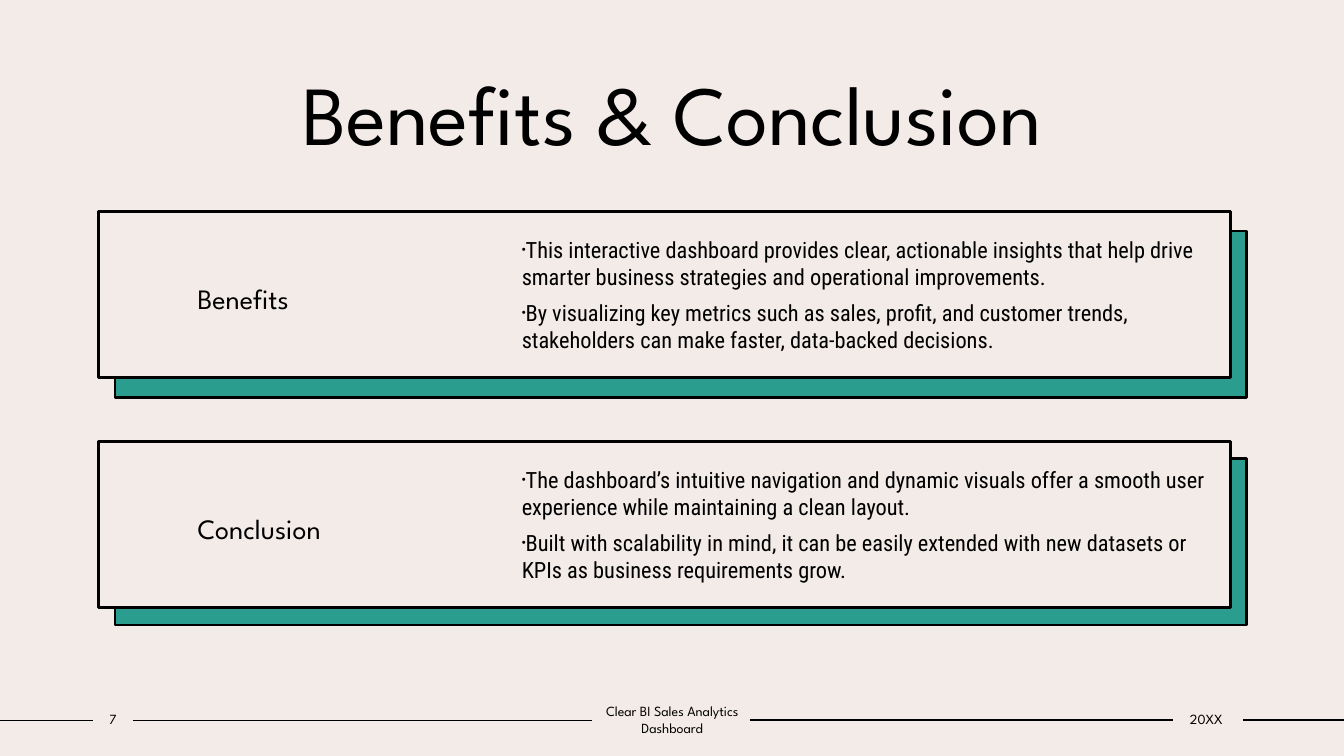
from lxml import etree
from pptx import Presentation
from pptx.dml.color import RGBColor
from pptx.enum.shapes import MSO_CONNECTOR, MSO_SHAPE
from pptx.enum.text import MSO_ANCHOR, PP_ALIGN
from pptx.oxml.ns import qn
from pptx.util import Cm, Pt

RECTANGLE = MSO_SHAPE.RECTANGLE
STRAIGHT = MSO_CONNECTOR.STRAIGHT
MIDDLE = MSO_ANCHOR.MIDDLE
LEFT, CENTER = PP_ALIGN.LEFT, PP_ALIGN.CENTER

BLACK = RGBColor(0x00, 0x00, 0x00)
CREAM = RGBColor(0xF3, 0xEB, 0xE8)
TEAL = RGBColor(0x2A, 0x9D, 0x8F)

HEADING_FONT = "League Spartan"
BODY_FONT = "Roboto Condensed"

CARD_LEFT, CARD_WIDTH, CARD_HEIGHT = 2.49, 28.52, 4.19
BACKING_LEFT = 2.9

# Card top, backing top, heading, points
CARDS = [
    (5.33, 5.82, "Benefits", [
        "This interactive dashboard provides clear, actionable insights that help drive "
        "smarter business strategies and operational improvements.",
        "By visualizing key metrics such as sales, profit, and customer trends, "
        "stakeholders can make faster, data-backed decisions.",
    ]),
    (11.13, 11.56, "Conclusion", [
        "The dashboard’s intuitive navigation and dynamic visuals offer a smooth user "
        "experience while maintaining a clean layout.",
        "Built with scalability in mind, it can be easily extended with new datasets or "
        "KPIs as business requirements grow.",
    ]),
]

# Start, end, height of each footer rule
FOOTER_RULES = [
    (0, 2.34, 18.16),
    (3.35, 14.91, 18.16),
    (18.9, 29.57, 18.14),
    (31.32, 33.87, 18.14),
]

# Left, width, text
FOOTER_LABELS = [
    (2.34, 1.02, "7"),
    (14.91, 4.06, "Clear BI Sales Analytics Dashboard"),
    (29.51, 1.78, "20XX"),
]


class SlideBuilder:
    def __init__(self, slide):
        self.slide = slide
        slide.background.fill.solid()
        slide.background.fill.fore_color.rgb = CREAM

    def set_text(self, shape, lines, size, font=HEADING_FONT, align=LEFT,
                 margins=(0.25, 0.13, 0.25, 0.13)):
        """Fill a shape with one paragraph per line; margins run left, top, right, bottom."""
        frame = shape.text_frame
        frame.word_wrap = True
        frame.vertical_anchor = MIDDLE
        (frame.margin_left, frame.margin_top,
         frame.margin_right, frame.margin_bottom) = map(Cm, margins)
        frame.text = "\n".join(lines)
        for paragraph in frame.paragraphs:
            paragraph.alignment = align
            for run in paragraph.runs:
                run.font.size = Pt(size)
                run.font.name = font
                run.font.color.rgb = BLACK
        return frame

    def text(self, left, top, width, height, lines, size, **style):
        box = self.slide.shapes.add_textbox(Cm(left), Cm(top), Cm(width), Cm(height))
        return self.set_text(box, lines, size, **style)

    def bullets(self, left, top, width, height, points):
        frame = self.text(left, top, width, height, points, 16, font=BODY_FONT)
        for index, paragraph in enumerate(frame.paragraphs):
            paragraph.space_before = Pt(7 if index else 0)
            properties = paragraph._p.get_or_add_pPr()
            properties.set("marL", "0")
            properties.set("indent", str(-Cm(0.38)))
            etree.SubElement(properties, qn("a:buSzPct")).set("val", "50000")
            etree.SubElement(properties, qn("a:buFont")).set("typeface", "Arial")
            etree.SubElement(properties, qn("a:buChar")).set("char", "•")

    def panel(self, left, top, fill):
        shape = self.slide.shapes.add_shape(
            RECTANGLE, Cm(left), Cm(top), Cm(CARD_WIDTH), Cm(CARD_HEIGHT))
        shape.shadow.inherit = False
        shape.fill.solid()
        shape.fill.fore_color.rgb = fill
        shape.line.color.rgb = BLACK
        shape.line.width = Pt(2)
        return shape

    def card(self, top, backing_top, heading, points):
        self.panel(BACKING_LEFT, backing_top, TEAL)
        front = self.panel(CARD_LEFT, top, CREAM)
        frame = self.set_text(front, [heading], 20, margins=(2.49, 0.13, 18.03, 0.13))
        frame.paragraphs[0].line_spacing = 1.2
        self.bullets(12.9, top + 0.25, 17.81, 3.68, points)

    def rule(self, start, end, height):
        line = self.slide.shapes.add_connector(
            STRAIGHT, Cm(start), Cm(height), Cm(end), Cm(height))
        line.line.color.rgb = BLACK
        line.line.width = Pt(1)
        etree.SubElement(line._element.spPr, qn("a:effectLst"))


def main():
    presentation = Presentation()
    presentation.slide_width, presentation.slide_height = Cm(33.87), Cm(19.05)
    builder = SlideBuilder(presentation.slides.add_slide(presentation.slide_layouts[6]))

    for footer_rule in FOOTER_RULES:
        builder.rule(*footer_rule)
    builder.text(3.18, 1.42, 27.53, 2.82, ["Benefits & Conclusion"], 60, align=CENTER)
    for card in CARDS:
        builder.card(*card)
    for left, width, label in FOOTER_LABELS:
        builder.text(left, 17.78, width, 0.69, [label], 10, align=CENTER,
                     margins=(0, 0.13, 0, 0.13))

    presentation.save("out.pptx")


if __name__ == "__main__":
    main()
